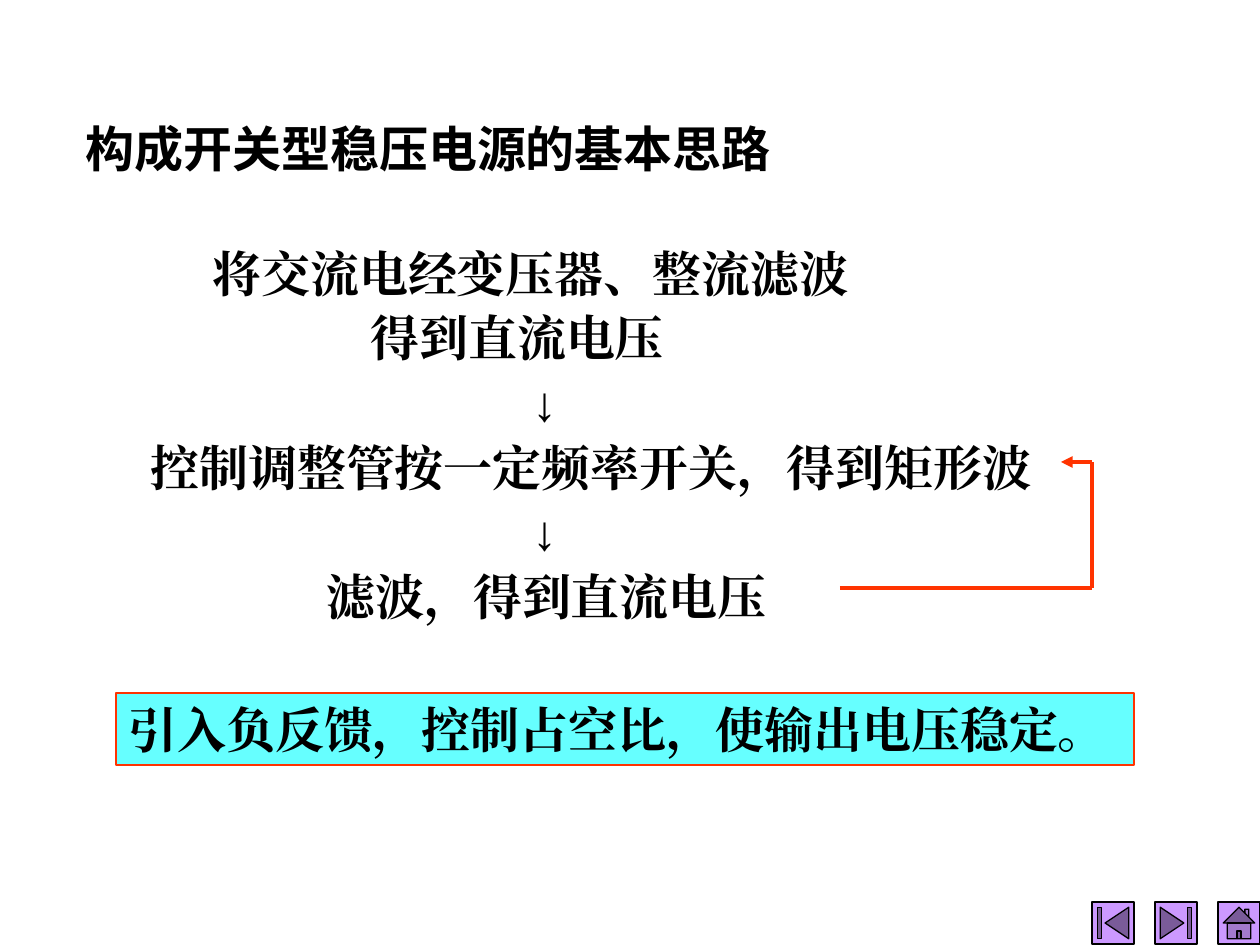
from lxml import etree
from pptx import Presentation
from pptx.dml.color import RGBColor
from pptx.enum.shapes import MSO_CONNECTOR, MSO_SHAPE
from pptx.enum.text import MSO_ANCHOR, PP_ALIGN
from pptx.oxml.ns import qn
from pptx.util import Pt

EMU_PER_PX = 914400 / 126
STRAIGHT = MSO_CONNECTOR.STRAIGHT
RECTANGLE = MSO_SHAPE.RECTANGLE
NAV_BUTTONS = (
    MSO_SHAPE.ACTION_BUTTON_BEGINNING,
    MSO_SHAPE.ACTION_BUTTON_END,
    MSO_SHAPE.ACTION_BUTTON_HOME,
)
LEFT = PP_ALIGN.LEFT
TOP, MIDDLE = MSO_ANCHOR.TOP, MSO_ANCHOR.MIDDLE

COLORS = {
    "text": "000000",
    "feedback": "FF3300",
    "conclusion": "66FFFF",
    "button": "CC99FF",
    "outline": "000000",
}
TITLE_FONT = "Noto Sans CJK SC"
BODY_FONT = "Times New Roman"

# Each step of the flow with its left indent in px
STEPS = (
    ("将交流电经变压器、整流滤波", 84),
    ("得到直流电压", 242),
    ("↓", 404),
    ("控制调整管按一定频率开关，得到矩形波", 22),
    ("↓", 404),
    ("滤波，得到直流电压", 198),
)
FEEDBACK_POINTS = ((840, 588), (1092, 588), (1092, 462), (1061, 462))


def px(length):
    return round(length * EMU_PER_PX)


def box(*lengths):
    return [px(length) for length in lengths]


def color(name):
    return RGBColor.from_string(COLORS[name])


def format_paragraph(paragraph, font_name):
    """Set bold 28 pt text, with one typeface for Latin and Chinese."""
    paragraph.alignment = LEFT
    for run in paragraph.runs:
        run.font.size = Pt(28)
        run.font.bold = True
        run.font.name = font_name
        run.font.color.rgb = color("text")
        east_asian = etree.SubElement(run.font._element, qn("a:ea"))
        east_asian.set("typeface", font_name)


def add_title(slide):
    title = slide.shapes.title
    title.left, title.top, title.width, title.height = box(73, 116, 948, 73)
    frame = title.text_frame
    frame.text = "构成开关型稳压电源的基本思路"
    frame.vertical_anchor = MIDDLE
    frame.paragraphs[0].line_spacing = 0.85
    format_paragraph(frame.paragraphs[0], TITLE_FONT)


def add_steps(slide):
    frame = slide.shapes.add_textbox(*box(116, 231, 1018, 420)).text_frame
    frame.word_wrap = True
    frame.text = "\n".join(text for text, _ in STEPS)
    for paragraph, (_, indent) in zip(frame.paragraphs, STEPS):
        paragraph.line_spacing = 1.1
        paragraph._p.get_or_add_pPr().set("marL", str(px(indent)))
        format_paragraph(paragraph, BODY_FONT)


def add_filled_shape(slide, preset, bounds, fill, line):
    shape = slide.shapes.add_shape(preset, *box(*bounds))
    shape.shadow.inherit = False
    shape.fill.solid()
    shape.fill.fore_color.rgb = color(fill)
    shape.line.color.rgb = color(line)
    shape.line.width = Pt(0.75)
    return shape


def add_conclusion(slide):
    bounds = (116, 693, 1018, 72)
    panel = add_filled_shape(slide, RECTANGLE, bounds, "conclusion", "feedback")
    frame = panel.text_frame
    frame.text = "引入负反馈，控制占空比，使输出电压稳定。"
    frame.vertical_anchor = TOP
    format_paragraph(frame.paragraphs[0], BODY_FONT)


def add_feedback_line(slide, start, end):
    line = slide.shapes.add_connector(STRAIGHT, *box(*start, *end))
    line.line.color.rgb = color("feedback")
    line.line.width = Pt(2.25)
    etree.SubElement(line._element.spPr, qn("a:effectLst"))
    return line


def add_feedback_path(slide):
    for start, end in zip(FEEDBACK_POINTS, FEEDBACK_POINTS[1:]):
        segment = add_feedback_line(slide, start, end)
    arrowhead = etree.SubElement(segment.line._get_or_add_ln(), qn("a:tailEnd"))
    arrowhead.set("type", "triangle")


def add_navigation(slide):
    for column, preset in enumerate(NAV_BUTTONS):
        bounds = (1092 + 63 * column, 902, 42, 42)
        add_filled_shape(slide, preset, bounds, "button", "outline")


def main():
    presentation = Presentation()
    presentation.slide_width, presentation.slide_height = box(1260, 945)
    slide = presentation.slides.add_slide(presentation.slide_layouts[5])
    add_navigation(slide)
    add_title(slide)
    add_steps(slide)
    add_feedback_path(slide)
    add_conclusion(slide)
    presentation.save("out.pptx")


if __name__ == "__main__":
    main()
